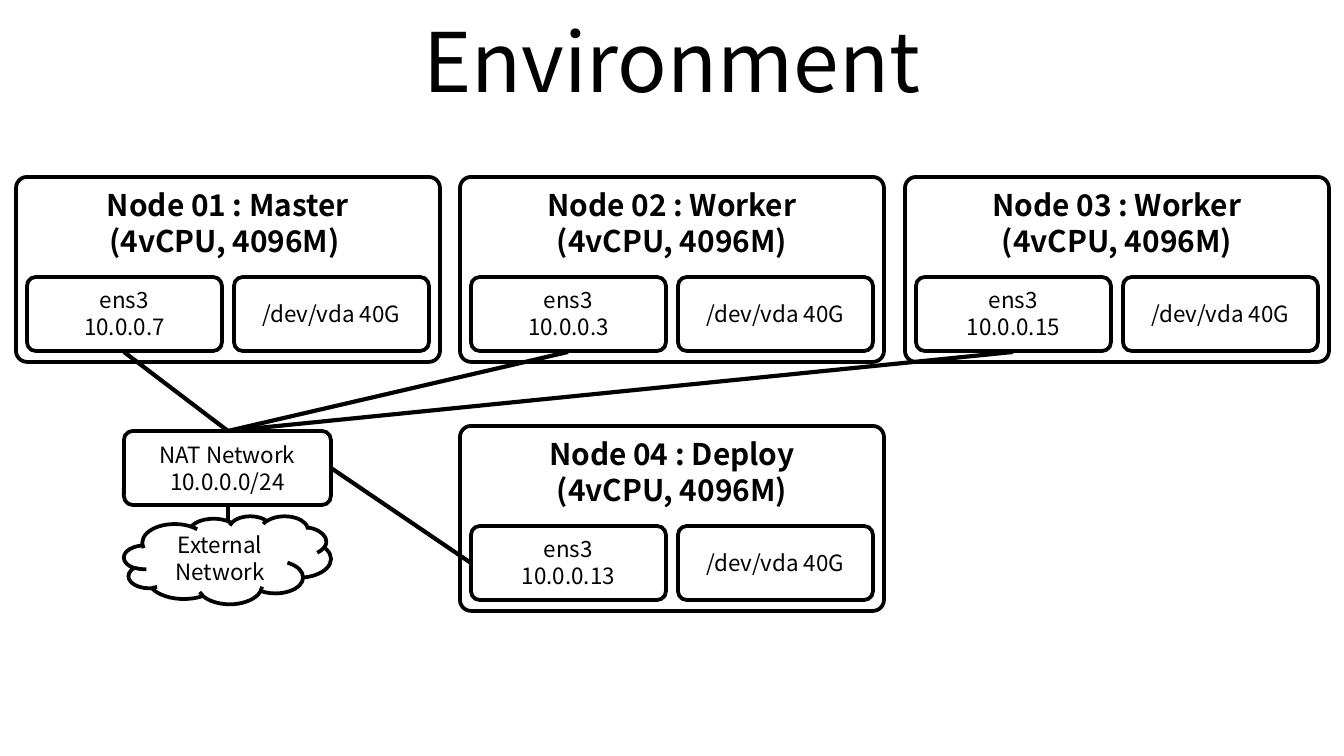
import pptx
import pptx.util
import pptx.dml.color
import pptx.enum.shapes
import pptx.enum.text
import pptx.oxml.ns
import lxml.etree

BLACK = pptx.dml.color.RGBColor(0, 0, 0)
WHITE = pptx.dml.color.RGBColor(255, 255, 255)
FONT = "Noto Sans CJK KR"
PIXEL = 914400 / 134.4
SHAPES = pptx.enum.shapes.MSO_SHAPE
ANCHORS = pptx.enum.text.MSO_ANCHOR

presentation = pptx.Presentation()
presentation.slide_width = round(1344 * PIXEL)
presentation.slide_height = round(756 * PIXEL)
slide = presentation.slides.add_slide(presentation.slide_layouts[6])


def write_text(shape, text, size, anchor, bold=False):
    frame = shape.text_frame
    frame.word_wrap = True
    frame.vertical_anchor = anchor
    frame.text = text
    for paragraph in frame.paragraphs:
        paragraph.alignment = pptx.enum.text.PP_ALIGN.CENTER
        paragraph.font.name = FONT
        paragraph.font.size = pptx.util.Pt(size)
        paragraph.font.bold = bold
        paragraph.font.color.rgb = BLACK


def add_box(box, text, size=12, anchor=ANCHORS.MIDDLE, bold=False,
            kind=SHAPES.ROUNDED_RECTANGLE, corner=0.12):
    shape = slide.shapes.add_shape(kind, *(round(v * PIXEL) for v in box))
    shape.shadow.inherit = False
    shape.fill.background()
    shape.line.color.rgb = BLACK
    shape.line.width = pptx.util.Pt(2)
    if kind == SHAPES.ROUNDED_RECTANGLE:
        shape.adjustments[0] = corner
    write_text(shape, text, size, anchor, bold)
    return shape


# Title
title = slide.shapes.add_textbox(*(round(v * PIXEL) for v in (67, -3, 1210, 126)))
write_text(title, "Environment", 44, ANCHORS.MIDDLE)

# Nodes, each with a network interface and a disk
nodes = [
    (16, 177, "Node 01 : Master\n(4vCPU, 4096M) ", "10.0.0.7"),
    (460, 177, "Node 02 : Worker\n(4vCPU, 4096M)", "10.0.0.3"),
    (905, 177, "Node 03 : Worker\n(4vCPU, 4096M)", "10.0.0.15"),
    (460, 426, "Node 04 : Deploy\n(4vCPU, 4096M)", "10.0.0.13"),
]
for left, top, heading, address in nodes:
    add_box((left, top, 424, 185), heading, 16, ANCHORS.TOP, True, corner=0.06)
    add_box((left + 11, top + 100, 195, 74), "ens3\n" + address, anchor=ANCHORS.TOP)
    add_box((left + 218, top + 100, 195, 74), "/dev/vda 40G")

# NAT network and its links
add_box((124, 431, 207, 74), "NAT Network\n10.0.0.0/24")
links = [
    (124, 352, 228, 431),
    (568, 352, 228, 431),
    (1013, 352, 228, 431),
    (471, 563, 331, 468),
    (228, 520, 228, 505),
]
for ends in links:
    link = slide.shapes.add_connector(
        pptx.enum.shapes.MSO_CONNECTOR.STRAIGHT, *(round(v * PIXEL) for v in ends))
    link.line.color.rgb = BLACK
    link.line.width = pptx.util.Pt(2.25)
    lxml.etree.SubElement(link._element.spPr, pptx.oxml.ns.qn("a:effectLst"))

# External network
cloud = add_box((124, 516, 207, 88), "External\vNetwork", kind=SHAPES.CLOUD)
cloud.fill.solid()
cloud.fill.fore_color.rgb = WHITE

presentation.save("out.pptx")
